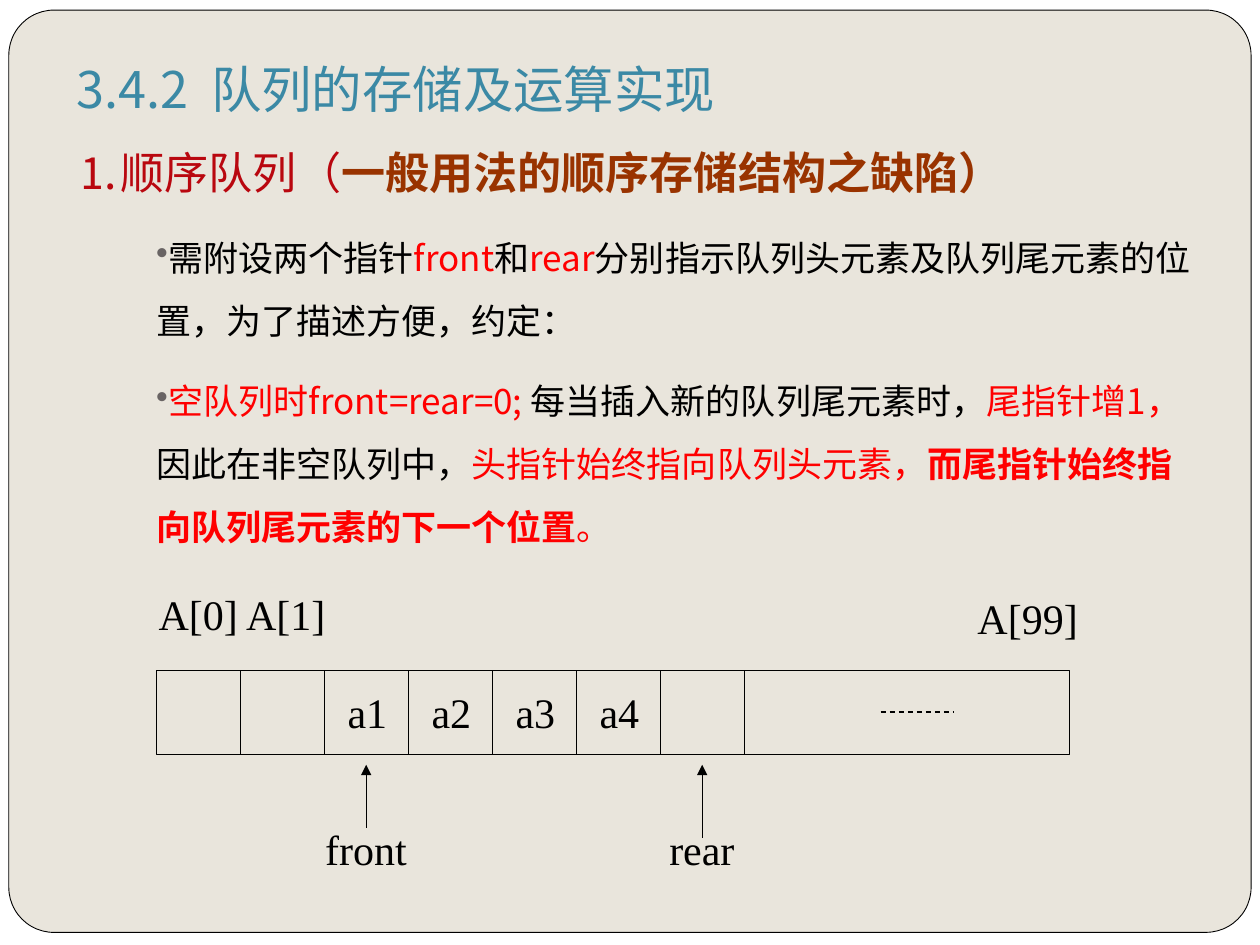
from lxml import etree
from pptx import Presentation
from pptx.dml.color import RGBColor
from pptx.enum.dml import MSO_LINE
from pptx.enum.shapes import MSO_CONNECTOR, MSO_SHAPE
from pptx.enum.text import MSO_ANCHOR, MSO_AUTO_SIZE
from pptx.oxml.ns import qn
from pptx.util import Inches, Pt

STRAIGHT = MSO_CONNECTOR.STRAIGHT
RECT, ROUND = MSO_SHAPE.RECTANGLE, MSO_SHAPE.ROUNDED_RECTANGLE
BOTTOM = MSO_ANCHOR.BOTTOM
DASH = MSO_LINE.DASH
CJK, HEAVY, SERIF = "Noto Sans CJK SC", "Roboto", "Times New Roman"
COLORS = {
    "white": "FFFFFF", "paper": "E9E5DC", "black": "000000", "red": "FF0000",
    "teal": "3B89A5", "crimson": "B9070F", "brown": "993300", "bullet": "696464",
}


def rgb(name):
    return RGBColor.from_string(COLORS[name])


class SlideBuilder:
    """Holds the current slide and the shared line and text style."""

    def __init__(self, s):
        self.s = s

    def box(self, kind, x, y, w, h, fill=None, line=None):
        sp = self.s.shapes.add_shape(kind, Inches(x), Inches(y), Inches(w), Inches(h))
        sp.shadow.inherit = False
        if fill:
            sp.fill.solid()
            sp.fill.fore_color.rgb = rgb(fill)
        else:
            sp.fill.background()
        if line:
            sp.line.color.rgb = rgb("black")
            sp.line.width = Pt(line)
        else:
            sp.line.fill.background()
        return sp

    def line(self, x1, y1, x2, y2, dash=None, arrow=False):
        c = self.s.shapes.add_connector(
            STRAIGHT, Inches(x1), Inches(y1), Inches(x2), Inches(y2))
        c.line.color.rgb = rgb("black")
        c.line.width = Pt(0.75)
        if dash:
            c.line.dash_style = dash
        if arrow:
            etree.SubElement(c.line._get_or_add_ln(), qn("a:tailEnd"), type="triangle")
        etree.SubElement(c._element.spPr, qn("a:effectLst"))

    def text_box(self, x, y, w, h, wrap=True):
        tb = self.s.shapes.add_textbox(Inches(x), Inches(y), Inches(w), Inches(h))
        tf = tb.text_frame
        tf.word_wrap = wrap
        return tf

    def run(self, p, text, size, color, font=CJK, bold=False):
        r = p.add_run()
        r.text = text
        r.font.size = Pt(size)
        r.font.bold = bold
        r.font.name = font
        r.font.color.rgb = rgb(color)
        etree.SubElement(r.font._element, qn("a:ea"), typeface=font)

    def label(self, text, x, y, w):
        tf = self.text_box(x, y, w, 0.5, wrap=False)
        self.run(tf.paragraphs[0], text, 24, "black", SERIF)

    def bullet(self, p):
        pPr = p._p.get_or_add_pPr()
        color = etree.SubElement(pPr, qn("a:buClr"))
        etree.SubElement(color, qn("a:srgbClr"), val=COLORS["bullet"])
        etree.SubElement(pPr, qn("a:buChar"), char="•")


BULLETS = [
    [("需附设两个指针", "black", False), ("front", "red", False),
     ("和", "black", False), ("rear", "red", False),
     ("分别指示队列头元素及队列尾元素的位置，为了描述方便，约定：", "black", False)],
    [("空队列时front=rear=0; ", "red", False),
     ("每当插入新的队列尾元素时，", "black", False),
     ("尾指针增1，", "red", False), ("因此在非空队列中，", "black", False),
     ("头指针始终指向队列头元素，", "red", False),
     ("而尾指针始终指向队列尾元素的下一个位置", "red", True), ("。", "red", False)],
]


def add_title(b):
    tf = b.text_box(0.51, 0.62, 8.9, 1.05)
    tf.vertical_anchor = BOTTOM
    tf.margin_bottom = Inches(0.1)
    p = tf.paragraphs[0]
    p.line_spacing = 1.5
    b.run(p, "3.4.2  队列的存储及运算实现", 28.8, "teal")
    p.add_line_break()
    b.run(p, "⒈顺序队列（", 25.2, "crimson")
    b.run(p, "一般用法的顺序存储结构之缺陷）", 25.2, "brown", HEAVY, bold=True)


def add_body(b):
    tf = b.text_box(1.14, 1.66, 8.5, 2.79)
    tf.auto_size = MSO_AUTO_SIZE.SHAPE_TO_FIT_TEXT
    for i, runs in enumerate(BULLETS):
        p = tf.add_paragraph() if i else tf.paragraphs[0]
        p.line_spacing = 1.5
        if i:
            p.space_before = Pt(10)
        b.bullet(p)
        for text, color, bold in runs:
            b.run(p, text, 20, color, bold=bold)


def add_queue(b):
    left, top, cell, width = 1.24, 5.32, 2 / 3, 7.25
    bottom = top + cell
    b.box(RECT, left, top, width, cell, line=0.75)
    for i in range(1, 8):
        x = left + i * cell
        b.line(x, top, x, bottom)
    b.line(6.99, 5.65, 7.57, 5.65, dash=DASH)
    for i in range(4):
        b.label(f"a{i + 1}", 2.66 + i * cell, 5.4, 0.52)
    for name, index, w, tail in (("front", 2, 0.85, 6.57), ("rear", 6, 0.72, 6.65)):
        x = left + (index + 0.5) * cell
        b.label(name, x - w / 2, 6.49, w)
        b.line(x, tail, x, 6.07, arrow=True)
    b.label("A[0] A[1]", 1.16, 4.62, 1.55)
    b.label("A[99]", 7.66, 4.65, 1)


def main():
    prs = Presentation()
    prs.slide_width, prs.slide_height = Inches(10), Inches(7.5)
    s = prs.slides.add_slide(prs.slide_layouts[6])
    s.background.fill.solid()
    s.background.fill.fore_color.rgb = rgb("white")
    b = SlideBuilder(s)
    panel = b.box(ROUND, 0.07, 0.08, 9.86, 7.32, fill="paper", line=0.5)
    panel.adjustments[0] = 0.049
    add_title(b)
    add_body(b)
    add_queue(b)
    prs.save("out.pptx")


if __name__ == "__main__":
    main()
